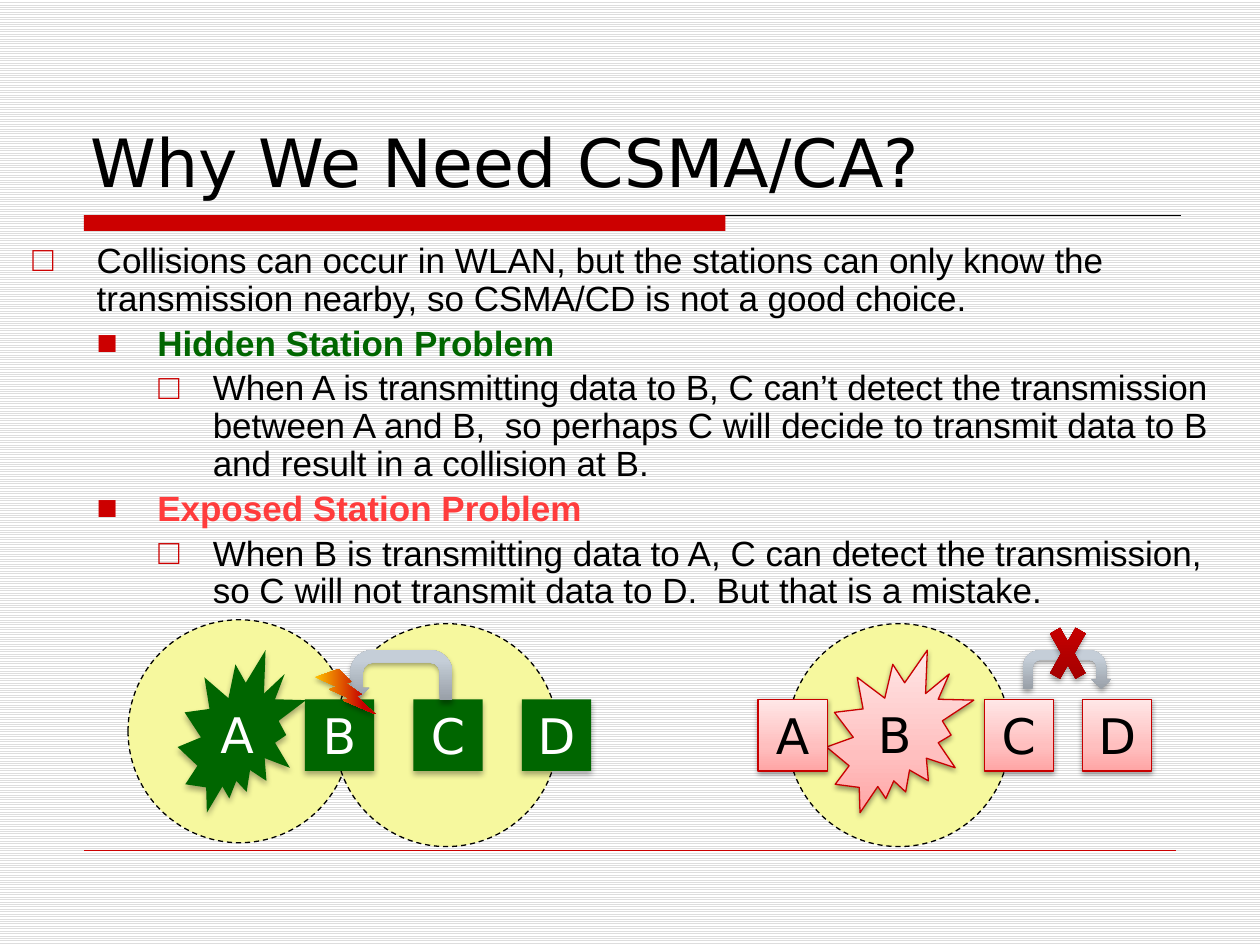
from dataclasses import dataclass

from lxml import etree
from pptx import Presentation
from pptx import util as u
from pptx.dml.color import RGBColor
from pptx.enum import dml, shapes, text
from pptx.oxml import ns

Pt = u.Pt
KIND = shapes.MSO_SHAPE
HEX = {
    "red": "CC0000", "rim": "C80000", "black": "000000", "white": "FFFFFF",
    "hatch": "DDDDDD", "range": "F6F89E", "green": "006600", "coral": "FF3C3C",
}
# Gradient stops: position in percent, colour
PINK = ((0, "FFA5A5"), (35, "FFBFBF"), (100, "FFE7E7"))
STEEL = ((0, "989FA7"), (80, "C5CED8"), (100, "C6CFDA"))
CRIMSON = ((0, "980000"), (80, "C60000"), (100, "C70000"))
FLAME = ((0, "FFC000"), (80, "C60000"), (100, "C70000"))


@dataclass
class Shade:
    alpha: int
    blur: float
    dist: float


@dataclass
class Theme:
    """Look of the stations in one scene."""
    fill: str | tuple
    ink: str
    rim: str | None
    shade: Shade


@dataclass
class Level:
    left: float
    hang: float
    mark: str


@dataclass
class Item:
    level: int
    words: str
    ink: str = "black"
    bold: bool = False


SOLID = Theme("green", "white", None, Shade(32, 3.5, 2.2))
BLUSH = Theme(PINK, "black", "rim", Shade(38, 3.1, 1.6))
GLOW = Shade(35, 3.1, 1.8)
LEVELS = (Level(36.7, 36.7, "□"), Level(71.3, 34.6, "■"), Level(103, 31, "□"))
ITEMS = (
    Item(0, "Collisions can occur in WLAN, but the stations can only know the "
            "transmission nearby, so CSMA/CD is not a good choice."),
    Item(1, "Hidden Station Problem", "green", True),
    Item(2, "When A is transmitting data to B, C can’t detect the transmission "
            "between A and B,  so perhaps C will decide to transmit data to B "
            "and result in a collision at B."),
    Item(1, "Exposed Station Problem", "coral", True),
    Item(2, "When B is transmitting data to A, C can detect the transmission, "
            "so C will not transmit data to D.  But that is a mistake."),
)


def rgb(name: str) -> RGBColor:
    return RGBColor.from_string(HEX[name])


def sub(node, tag: str, **attrs):
    return etree.SubElement(node, ns.qn(tag), {k: str(v) for k, v in attrs.items()})


def tint(node, tag: str, hue: str):
    return sub(node, tag, val=hue)


def blend(shape, stops: tuple, angle: int) -> None:
    """Fill with a gradient; angle runs counter-clockwise."""
    shape.fill.gradient()
    shape.fill.gradient_angle = angle
    group = shape._element.spPr.find(".//" + ns.qn("a:gsLst"))
    for stop in list(group):
        group.remove(stop)
    for pos, hue in stops:
        tint(sub(group, "a:gs", pos=pos * 1000), "a:srgbClr", hue)


def cast(shape, shade: Shade) -> None:
    """Drop a soft shadow straight down."""
    box = shape._element.spPr.find(ns.qn("a:effectLst"))
    drop = sub(box, "a:outerShdw", blurRad=Pt(shade.blur), dist=Pt(shade.dist),
               dir=5400000, rotWithShape=0)
    sub(tint(drop, "a:srgbClr", HEX["black"]), "a:alpha", val=shade.alpha * 1000)


def draw(slide, kind, x: float, y: float, w: float, h: float, fill: str | tuple,
         rim: str | None = None, shade: Shade | None = None, angle: int = 90):
    shape = slide.shapes.add_shape(kind, Pt(x), Pt(y), Pt(w), Pt(h))
    shape.shadow.inherit = False
    if isinstance(fill, str):
        shape.fill.solid()
        shape.fill.fore_color.rgb = rgb(fill)
    else:
        blend(shape, fill, angle)
    if rim:
        shape.line.color.rgb = rgb(rim)
        shape.line.width = Pt(0.75)
    else:
        shape.line.fill.background()
    if shade:
        cast(shape, shade)
    return shape


def style(para, face: str, size: float, ink: str, bold: bool = False) -> None:
    for run in para.runs:
        font = run.font
        font.name, font.size, font.bold = face, Pt(size), bold
        font.color.rgb = rgb(ink)


def rule(slide, x: float, end: float, y: float, ink: str, width: float) -> None:
    line = slide.shapes.add_connector(shapes.MSO_CONNECTOR.STRAIGHT,
                                      Pt(x), Pt(y), Pt(end), Pt(y))
    line.line.color.rgb = rgb(ink)
    line.line.width = Pt(width)
    sub(line._element.spPr, "a:effectLst")


def reach(slide, x: float, y: float) -> None:
    """Draw the radio range of a station."""
    ring = draw(slide, KIND.OVAL, x, y, 127.4, 127.4, "range", "black")
    ring.line.dash_style = dml.MSO_LINE.DASH


def node(slide, name: str, x: float, theme: Theme, burst: float = 0) -> None:
    """Draw a station; a burst width makes it a sending one."""
    kind, y, w, h = ((KIND.EXPLOSION2, 371.5, burst, 92.9) if burst
                     else (KIND.RECTANGLE, 399.6, 39.6, 41))
    shape = draw(slide, kind, x, y, w, h, theme.fill, theme.rim, theme.shade)
    frame = shape.text_frame
    frame.word_wrap = False
    frame.vertical_anchor = text.MSO_ANCHOR.MIDDLE
    frame.text = name
    para = frame.paragraphs[0]
    para.alignment = text.PP_ALIGN.CENTER
    style(para, "DejaVu Sans", 28, theme.ink)


def turn(slide, x: float, w: float, h: float, flip: bool = False) -> None:
    arrow = draw(slide, KIND.U_TURN_ARROW, x, 371.5, w, h, STEEL, shade=GLOW)
    for i, val in enumerate((0.25, 0.25, 0.25, 0.44, 1)):
        arrow.adjustments[i] = val
    if flip:
        arrow._element.spPr.find(ns.qn("a:xfrm")).set("flipH", "1")


def write(slide, x: float, y: float, w: float, h: float):
    frame = slide.shapes.add_textbox(Pt(x), Pt(y), Pt(w), Pt(h)).text_frame
    frame.word_wrap = True
    return frame


def outline(slide) -> None:
    frame = write(slide, 11.5, 135.4, 696.2, 275)
    for i, item in enumerate(ITEMS):
        para = frame.add_paragraph() if i else frame.paragraphs[0]
        para.text = item.words
        para.level = item.level
        para.line_spacing = 0.9
        if i:
            para.space_before = Pt(4)
        level = LEVELS[item.level]
        props = para._p.get_or_add_pPr()
        props.set("marL", str(Pt(level.left)))
        props.set("indent", str(-Pt(level.hang)))
        tint(sub(props, "a:buClr"), "a:srgbClr", HEX["red"])
        sub(props, "a:buFont", typeface="Arial")
        sub(props, "a:buChar", char=level.mark)
        style(para, "Arial", 20, item.ink, item.bold)


def main() -> None:
    deck = Presentation()
    deck.slide_width, deck.slide_height = Pt(720), Pt(540)
    slide = deck.slides.add_slide(deck.slide_layouts[6])
    back = slide.background.fill
    back.patterned()
    back.pattern = dml.MSO_PATTERN.LIGHT_HORIZONTAL
    back.fore_color.rgb, back.back_color.rgb = rgb("hatch"), rgb("white")

    rule(slide, 48, 674.8, 123, "black", 0.75)
    draw(slide, KIND.RECTANGLE, 48, 123, 366.6, 9, "red")
    rule(slide, 48, 672, 486, "red", 0.25)
    for x, y in ((73.2, 354.2), (450, 356.4), (191.5, 356.4)):
        reach(slide, x, y)

    title = write(slide, 44.6, 28, 613.4, 90)
    title.vertical_anchor = text.MSO_ANCHOR.BOTTOM
    title.text = "Why We Need CSMA/CA?"
    style(title.paragraphs[0], "DejaVu Sans", 38, "black")
    outline(slide)

    node(slide, "A", 101.5, SOLID, 73.4)
    for i, name in enumerate("BCD"):
        node(slide, name, 174.2 + 62 * i, SOLID)
    node(slide, "B", 472.3, BLUSH, 84.2)
    for name, x in (("A", 433.2), ("C", 562.4), ("D", 618.6)):
        node(slide, name, x, BLUSH)

    turn(slide, 584.6, 50.4, 22.3)
    draw(slide, KIND.MATH_MULTIPLY, 596.2, 348.5, 28, 49.7, CRIMSON, shade=GLOW)
    turn(slide, 196.6, 61.9, 28.8, flip=True)
    draw(slide, KIND.LIGHTNING_BOLT, 180, 382.3, 34.6, 25.9, FLAME, shade=GLOW, angle=0)
    deck.save("out.pptx")


if __name__ == "__main__":
    main()
